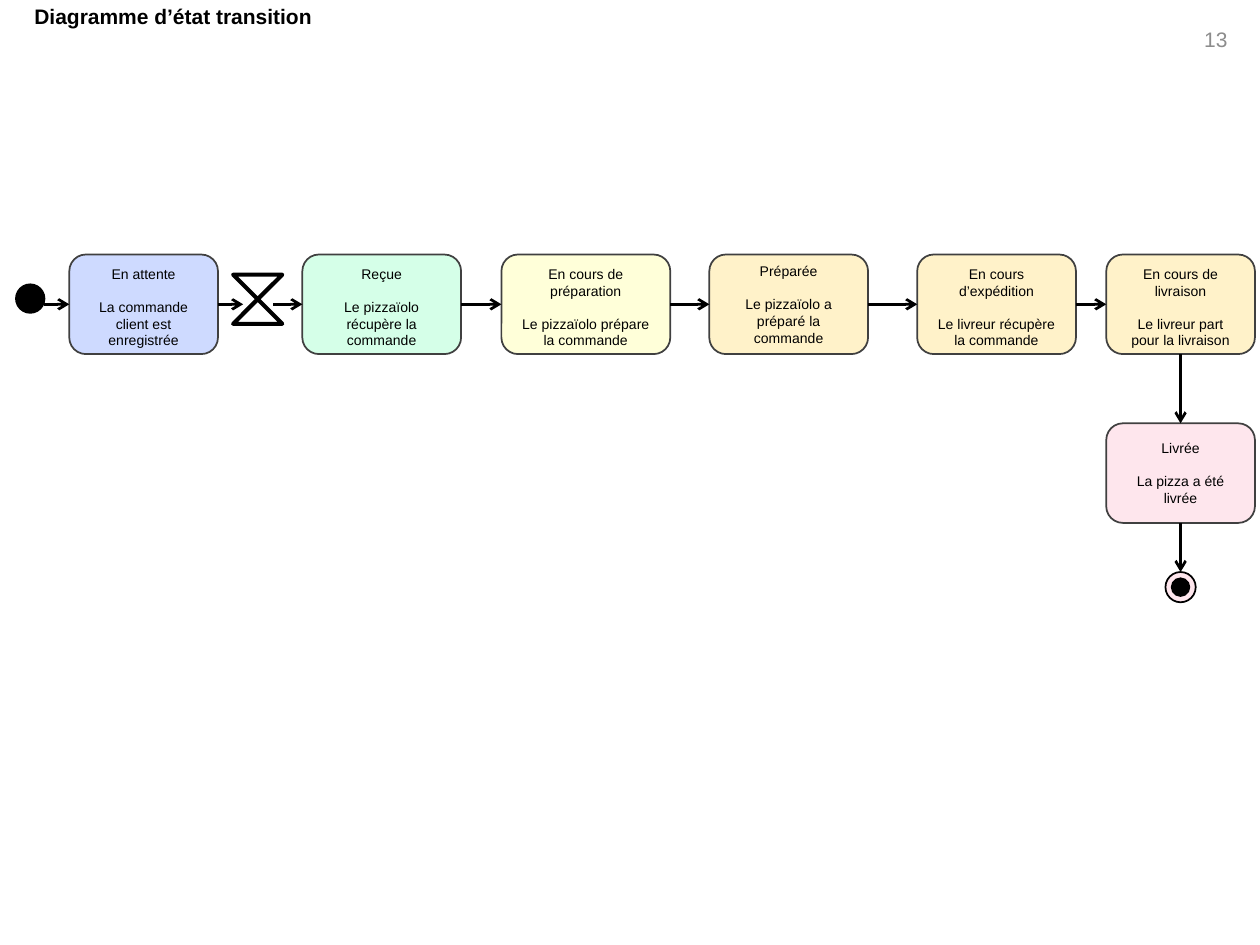
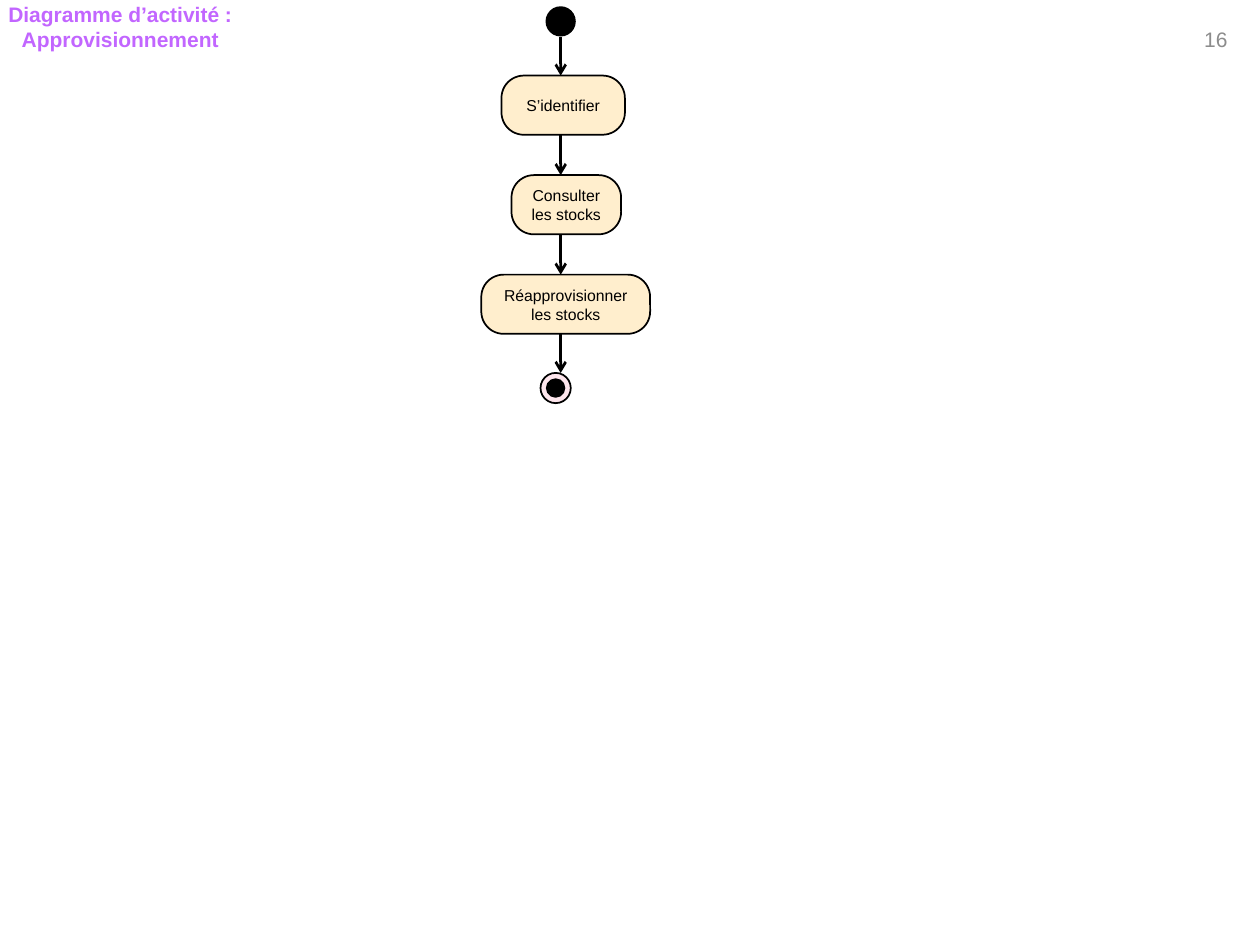
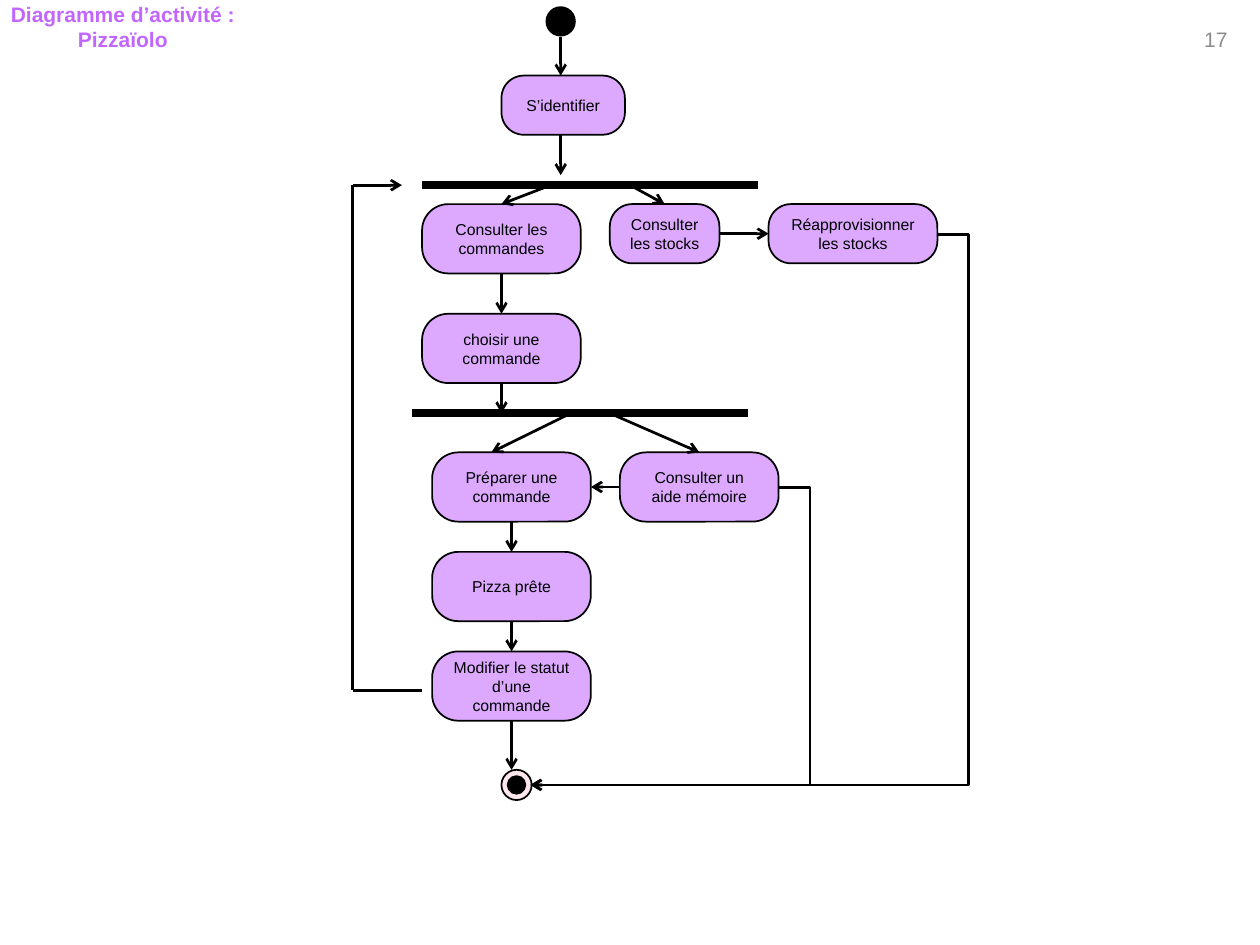
from itertools import pairwise

from lxml import etree
from pptx import Presentation
from pptx.dml.color import RGBColor
from pptx.enum import shapes, text
from pptx.oxml.ns import qn
from pptx.util import Inches, Pt

BLACK = RGBColor(0x00, 0x00, 0x00)
STATE_LINE = RGBColor(0x40, 0x40, 0x40)
NUMBER_GREY = RGBColor(0x8C, 0x8C, 0x8C)
TITLE_PURPLE = RGBColor(0xC2, 0x66, 0xFF)
BLUE = RGBColor(0xCE, 0xDA, 0xFF)
GREEN = RGBColor(0xD5, 0xFF, 0xE8)
YELLOW = RGBColor(0xFF, 0xFF, 0xD9)
AMBER = RGBColor(0xFF, 0xF2, 0xC9)
PINK = RGBColor(0xFE, 0xE6, 0xED)
CREAM = RGBColor(0xFF, 0xEE, 0xCD)
LILAC = RGBColor(0xDC, 0xA9, 0xFF)

FONT = "Arial"
TOP, LEFT, BOTTOM, RIGHT = range(4)
DISC = 0.24
FLOW_WIDTH = 1.57
BAR_WIDTH = 4.5
BAR_LENGTH = 2.67
STATE_TOP, STATE_HEIGHT, STATE_WIDTH = 2.02, 0.79, 1.26
STATE_MID = STATE_TOP + STATE_HEIGHT / 2
TASK_WIDTH, TASK_HEIGHT, SHORT_TASK = 1.26, 0.55, 0.47
AXIS = 4.45
LANE_GAP = 0.25

MIDDLE = text.MSO_ANCHOR.MIDDLE
TITLE_FRAME = {
    "margin_left": 0, "margin_right": 0, "margin_top": 0, "margin_bottom": 0,
    "word_wrap": True, "auto_size": text.MSO_AUTO_SIZE.NONE,
    "vertical_anchor": text.MSO_ANCHOR.TOP,
}


def set_format(target, values):
    """Set every attribute in values on target."""
    for key, value in values.items():
        setattr(target, key, value)


def place(x, y, width, height):
    """Turn a place in inches into lengths."""
    return [Inches(value) for value in (x, y, width, height)]


def write(frame, lines, size, color, bold=False, gap=0):
    """Fill a frame with centred paragraphs, gap points apart."""
    for index, line in enumerate(lines):
        paragraph = frame.add_paragraph() if index else frame.paragraphs[0]
        paragraph.text = line
        set_format(paragraph, {
            "alignment": text.PP_ALIGN.CENTER, "line_spacing": 1.0,
            "space_before": Pt(gap if index else 0),
        })
        set_format(paragraph.font, {"name": FONT, "size": Pt(size), "bold": bold})
        paragraph.font.color.rgb = color


def start_slide(prs, title_lines, number, color, top, width):
    """Add a slide with its title and its page number."""
    slide = prs.slides.add_slide(prs.slide_layouts[5])
    title = slide.shapes.title
    bounds = place(0, top, width, 0.2 * len(title_lines))
    set_format(title, dict(zip(("left", "top", "width", "height"), bounds)))
    set_format(title.text_frame, TITLE_FRAME)
    write(title.text_frame, title_lines, 12, color, bold=True)
    page = slide.shapes.add_textbox(*place(9.3, 0, 0.7, 0.62)).text_frame
    set_format(page, {"word_wrap": True, "vertical_anchor": MIDDLE})
    write(page, [str(number)], 12, NUMBER_GREY)
    return slide


def add_outline(parent, kind, bounds, fill=None, line=None, width=1):
    """Add a preset shape with the given fill and line, or none."""
    outline = parent.shapes.add_shape(kind, *place(*bounds))
    outline.shadow.inherit = False
    if fill is None:
        outline.fill.background()
    else:
        outline.fill.solid()
        outline.fill.fore_color.rgb = fill
    if line is None:
        outline.line.fill.background()
    else:
        outline.line.color.rgb = line
        outline.line.width = Pt(width)
    return outline


def add_state(slide, x, y, width, fill, lines, anchor=text.MSO_ANCHOR.TOP):
    """Add an order state: its name, then what happens in it."""
    state = add_outline(slide, shapes.MSO_SHAPE.ROUNDED_RECTANGLE,
                        (x, y, width, STATE_HEIGHT), fill, STATE_LINE)
    set_format(state.text_frame, {"word_wrap": True, "vertical_anchor": anchor})
    write(state.text_frame, lines, 8, BLACK, gap=9.2)
    return state


def add_task(slide, label, x, y, fill, width=TASK_WIDTH, height=TASK_HEIGHT):
    """Add an activity with very round corners."""
    task = add_outline(slide, shapes.MSO_SHAPE.ROUNDED_RECTANGLE,
                       (x, y, width, height), fill, BLACK)
    task.adjustments[0] = 0.378
    set_format(task.text_frame, {"word_wrap": True, "vertical_anchor": MIDDLE})
    write(task.text_frame, [label], 9, BLACK)
    return task


def add_start(slide, x, y):
    """Add the black disc where a diagram starts."""
    add_outline(slide, shapes.MSO_SHAPE.OVAL, (x, y, DISC, DISC), BLACK)


def add_end(slide, x, y):
    """Add the ringed disc where a diagram ends."""
    target = slide.shapes.add_group_shape()
    bounds = (x, y, DISC, DISC)
    add_outline(target, shapes.MSO_SHAPE.OVAL, bounds, BLACK)
    ring = add_outline(target, shapes.MSO_SHAPE.DONUT, bounds, PINK, BLACK)
    ring.adjustments[0] = 0.208


def add_line(slide, start, end, width=FLOW_WIDTH, head=True,
             kind=shapes.MSO_CONNECTOR.STRAIGHT):
    """Link two ends, each a point in inches or a (shape, side) pair."""
    joined = [not isinstance(finish[0], (int, float)) for finish in (start, end)]
    points = [(0, 0) if join else finish for join, finish in zip(joined, (start, end))]
    link = slide.shapes.add_connector(kind, *place(*points[0], *points[1]))
    if joined[0]:
        link.begin_connect(*start)
    if joined[1]:
        link.end_connect(*end)
    link.line.color.rgb = BLACK
    link.line.width = Pt(width)
    properties = link._element.spPr
    if head:
        etree.SubElement(properties.find(qn("a:ln")), qn("a:tailEnd"), type="arrow")
    etree.SubElement(properties, qn("a:effectLst"))
    return link


def add_return(slide, start, end):
    """Link two points by a lane that runs to the right of the start."""
    link = add_line(slide, start, end, kind=shapes.MSO_CONNECTOR.ELBOW)
    bend = round(-LANE_GAP / (start[0] - end[0]) * 100000)
    values = link._element.spPr.find(qn("a:prstGeom")).get_or_add_avLst()
    etree.SubElement(values, qn("a:gd"), name="adj1", fmla=f"val {bend}")


def add_bar(slide, x, y):
    """Add a thick bar where the flow forks."""
    add_line(slide, (x, y), (x + BAR_LENGTH, y), width=BAR_WIDTH, head=False)


def add_identification(slide, fill):
    """Add the first steps, which every activity diagram shares."""
    add_start(slide, 4.33, 0.05)
    add_task(slide, "S’identifier", 3.98, 0.6, fill, 0.98, SHORT_TASK)
    add_line(slide, (AXIS, 0.29), (AXIS, 0.6))
    add_line(slide, (AXIS, 1.07), (AXIS, 1.39))


def add_stock_tasks(slide, fill, check_at, refill_at):
    """Add the two stock activities at the given corners."""
    return (add_task(slide, "Consulter les stocks", *check_at, fill, 0.87, SHORT_TASK),
            add_task(slide, "Réapprovisionner les stocks", *refill_at, fill, 1.34, SHORT_TASK))


def build_states(prs):
    """Build the state diagram of an order."""
    slide = start_slide(prs, ["Diagramme d’état transition"], 13, BLACK, 0.03, 2.75)
    top = text.MSO_ANCHOR.TOP
    steps = [
        (0.55, 1.18, BLUE, ["En attente", "La commande client est enregistrée"], top),
        (2.4, STATE_WIDTH, GREEN, ["Reçue", "Le pizzaïolo récupère la commande"], top),
        (3.98, 1.34, YELLOW,
         ["En cours de préparation", "Le pizzaïolo prépare la commande"], top),
        (5.63, STATE_WIDTH, AMBER,
         ["Préparée", "Le pizzaïolo a préparé la commande"], MIDDLE),
        (7.28, STATE_WIDTH, AMBER,
         ["En cours d’expédition", "Le livreur récupère la commande"], top),
        (8.78, 1.18, AMBER,
         ["En cours de livraison", "Le livreur part pour la livraison"], top),
    ]
    states = [add_state(slide, x, STATE_TOP, width, fill, lines, anchor)
              for x, width, fill, lines, anchor in steps]
    delivered = add_state(slide, 8.78, 3.36, 1.18, PINK,
                          ["Livrée", "La pizza a été livrée"], MIDDLE)
    waiting, received = states[:2]
    add_start(slide, 0.12, 2.25)
    add_end(slide, 9.25, 4.54)
    add_outline(slide, shapes.MSO_SHAPE.FLOWCHART_COLLATE,
                (1.85, 2.18, 0.39, 0.39), line=BLACK, width=2.36)
    add_line(slide, (0.35, STATE_MID), (waiting, LEFT))
    add_line(slide, (waiting, RIGHT), (1.93, STATE_MID))
    add_line(slide, (2.17, STATE_MID), (received, LEFT))
    for before, after in pairwise(states[1:]):
        add_line(slide, (before, RIGHT), (after, LEFT))
    add_line(slide, (states[-1], BOTTOM), (delivered, TOP))
    add_line(slide, (delivered, BOTTOM), (9.37, 4.54))


def build_supply(prs):
    """Build the activity diagram of restocking."""
    slide = start_slide(prs, ["Diagramme d’activité :", "Approvisionnement"],
                        16, TITLE_PURPLE, 0.01, 1.91)
    add_identification(slide, CREAM)
    add_stock_tasks(slide, CREAM, (4.06, 1.39), (3.82, 2.18))
    add_end(slide, 4.29, 2.96)
    for start, end in ((1.86, 2.18), (2.65, 2.96)):
        add_line(slide, (AXIS, start), (AXIS, end))


def build_cook(prs):
    """Build the activity diagram of the pizza cook."""
    slide = start_slide(prs, ["Diagramme d’activité :", "Pizzaïolo"],
                        17, TITLE_PURPLE, 0.01, 1.95)
    add_identification(slide, LILAC)
    check, refill = add_stock_tasks(slide, LILAC, (4.84, 1.62), (6.1, 1.62))
    add_bar(slide, 3.35, 1.47)
    add_bar(slide, 3.27, 3.28)
    orders, choose, prepare, memo, ready, update = [
        add_task(slide, label, x, y, LILAC) for label, x, y in (
            ("Consulter les commandes", 3.35, 1.62),
            ("choisir une commande", 3.35, 2.49),
            ("Préparer une commande", 3.43, 3.59),
            ("Consulter un aide mémoire", 4.92, 3.59),
            ("Pizza prête", 3.43, 4.38),
            ("Modifier le statut d’une commande", 3.43, 5.17),
        )]
    add_end(slide, 3.98, 6.11)
    for start, end in (
        ((4.37, 1.47), (orders, TOP)),
        ((5, 1.47), (check, TOP)),
        ((check, RIGHT), (refill, LEFT)),
        ((orders, BOTTOM), (choose, TOP)),
        ((choose, BOTTOM), (3.98, 3.28)),
        ((4.53, 3.28), (3.9, 3.59)),
        ((4.84, 3.28), (memo, TOP)),
        ((memo, LEFT), (prepare, RIGHT)),
        ((prepare, BOTTOM), (ready, TOP)),
        ((ready, BOTTOM), (update, TOP)),
        ((update, BOTTOM), (4.06, 6.11)),
        ((2.8, 1.47), (3.19, 1.47)),
    ):
        add_line(slide, start, end)
    for end in ((2.8, 1.47), (3.35, 5.48)):
        add_line(slide, (2.8, 5.48), end, head=False)
    for start in ((7.44, 1.86), (6.18, 3.87)):
        add_return(slide, start, (4.21, 6.23))


def main():
    """Build the three diagrams and save them."""
    prs = Presentation()
    prs.slide_width, prs.slide_height = Inches(10), Inches(7.5)
    for build in (build_states, build_supply, build_cook):
        build(prs)
    prs.save("out.pptx")


if __name__ == "__main__":
    main()
